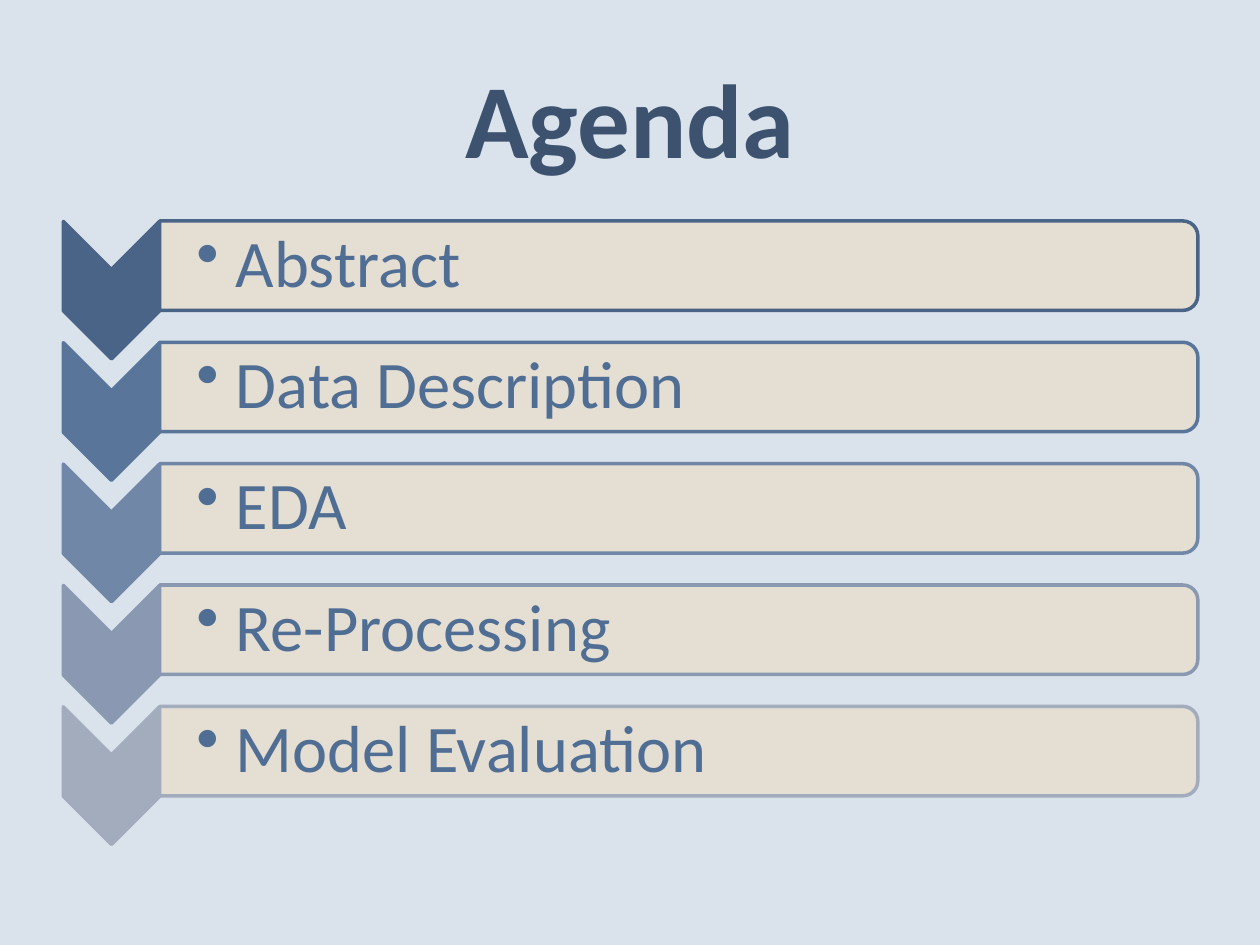
from lxml import etree
from pptx import Presentation
from pptx.dml.color import RGBColor
from pptx.enum.shapes import MSO_SHAPE
from pptx.enum.text import MSO_ANCHOR, PP_ALIGN
from pptx.oxml.ns import qn
from pptx.util import Pt

CHEVRON = MSO_SHAPE.CHEVRON
BAR = MSO_SHAPE.ROUND_2_SAME_RECTANGLE
MIDDLE = MSO_ANCHOR.MIDDLE
CENTER = PP_ALIGN.CENTER

FONT = "Calibri"
BACKGROUND = "DAE2EB"
TITLE_COLOR = "3C526F"
TEXT_COLOR = "506E94"
BAR_COLOR = "E6DED1"
BAR_OPACITY = 90
ROW_PITCH = 69.35
AGENDA = [
    ("Abstract", "496486"),
    ("Data Description", "59759A"),
    ("EDA", "7187A7"),
    ("Re-Processing", "8A99B1"),
    ("Model Evaluation", "A2ACBD"),
]


def color(hex_string):
    return RGBColor.from_string(hex_string)


def set_opacity(shape, percent):
    fill_color = shape.fill._xPr.find(qn("a:solidFill"))[0]
    etree.SubElement(fill_color, qn("a:alpha"), val=str(percent * 1000))


def set_bullet(paragraph, indent):
    """Give the paragraph a round bullet with a hanging indent in points."""
    properties = paragraph._p.get_or_add_pPr()
    properties.set("marL", str(Pt(indent)))
    properties.set("indent", str(-Pt(indent)))
    etree.SubElement(properties, qn("a:buChar"), char="•")


def add_turned_shape(slide, kind, left, top, width, height, fill, line):
    """Add a preset shape turned a quarter clockwise; the box is the unturned one."""
    shape = slide.shapes.add_shape(kind, Pt(left), Pt(top), Pt(width), Pt(height))
    shape.rotation = 90
    shape.shadow.inherit = False
    shape.fill.solid()
    shape.fill.fore_color.rgb = color(fill)
    shape.line.color.rgb = color(line)
    shape.line.width = Pt(2)
    return shape


def add_text(slide, text, left, top, width, height, size, text_color):
    """Add a vertically centred line of text and return its frame and paragraph."""
    box = slide.shapes.add_textbox(Pt(left), Pt(top), Pt(width), Pt(height))
    frame = box.text_frame
    frame.word_wrap = True
    frame.vertical_anchor = MIDDLE
    paragraph = frame.paragraphs[0]
    paragraph.text = text
    paragraph.font.name = FONT
    paragraph.font.size = Pt(size)
    paragraph.font.color.rgb = color(text_color)
    return frame, paragraph


def add_title(slide, text):
    _, paragraph = add_text(slide, text, 36, 21.6, 648, 90, 60, TITLE_COLOR)
    paragraph.alignment = CENTER
    paragraph.font.bold = True


def add_agenda_row(slide, index, text, accent):
    offset = index * ROW_PITCH
    add_turned_shape(slide, CHEVRON, 24.4, 138.3 + offset, 78.6, 55, accent, accent)
    bar = add_turned_shape(slide, BAR, 362.3, -144.8 + offset, 51.1, 593.2, BAR_COLOR, accent)
    set_opacity(bar, BAR_OPACITY)

    frame, paragraph = add_text(slide, text, 91, 128.7 + offset, 590.4, 46.1, 38, TEXT_COLOR)
    frame.margin_left = Pt(21.3)
    frame.margin_top = frame.margin_right = frame.margin_bottom = Pt(2)
    paragraph.line_spacing = 0.9
    set_bullet(paragraph, 22.5)


def main():
    presentation = Presentation()
    presentation.slide_width = Pt(720)
    presentation.slide_height = Pt(540)
    slide = presentation.slides.add_slide(presentation.slide_layouts[6])
    slide.background.fill.solid()
    slide.background.fill.fore_color.rgb = color(BACKGROUND)

    add_title(slide, "Agenda")
    for index, (text, accent) in enumerate(AGENDA):
        add_agenda_row(slide, index, text, accent)
    presentation.save("out.pptx")


if __name__ == "__main__":
    main()
